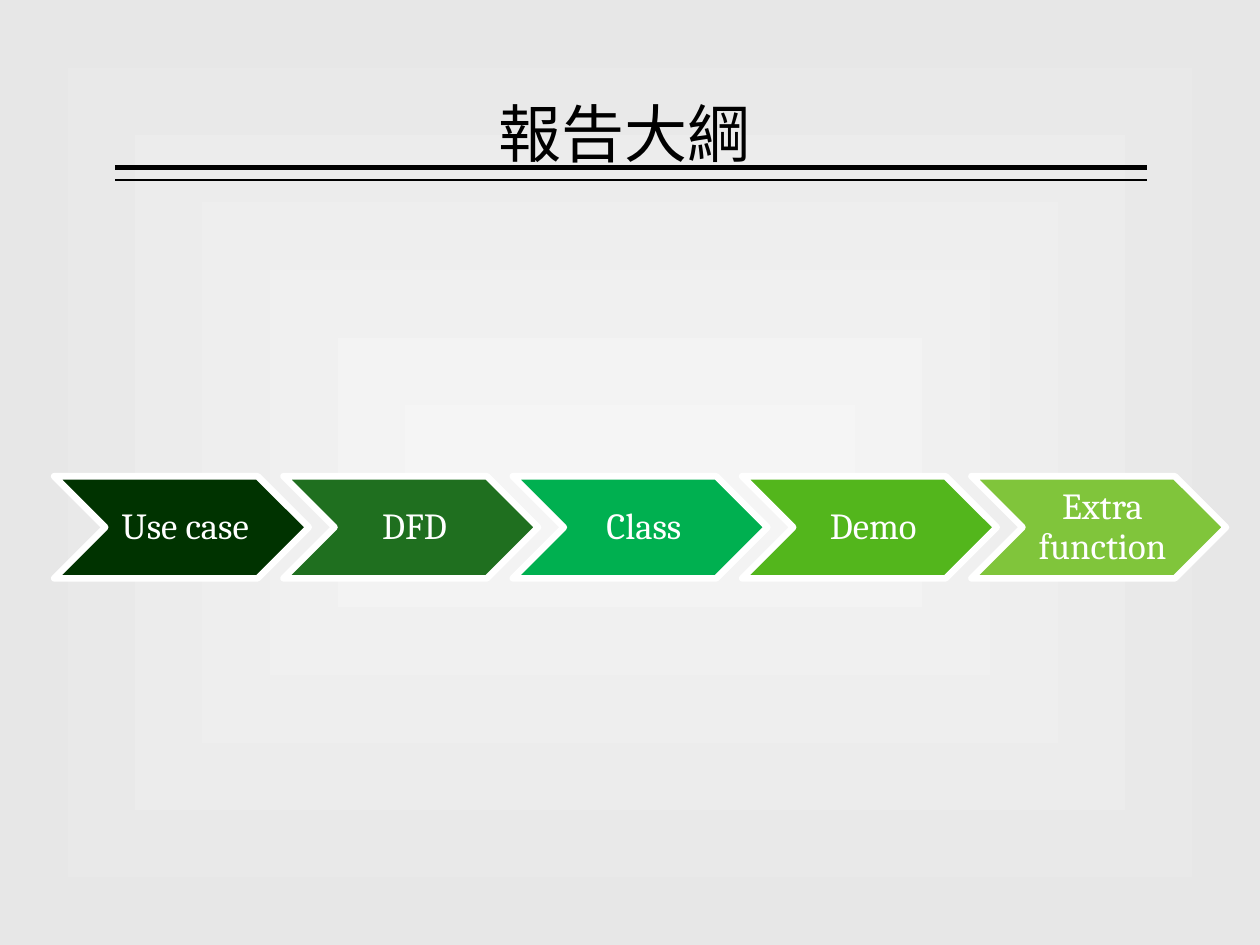
from lxml import etree
from pptx import Presentation
from pptx.dml.color import RGBColor
from pptx.enum.shapes import MSO_CONNECTOR, MSO_SHAPE
from pptx.enum.text import MSO_ANCHOR, PP_ALIGN
from pptx.oxml import parse_xml
from pptx.oxml.ns import nsdecls, qn
from pptx.util import Inches, Pt

TITLE = "報告大綱"
STEPS = [
    ("Use case", "003300"),
    ("DFD", "1F6F1F"),
    ("Class", "00B050"),
    ("Demo", "53B61C"),
    ("Extra function", "80C53B"),
]
RULES = [(1.33, 3), (1.43, 1)]  # y in inches, width in points
RULE_LEFT, RULE_RIGHT = 0.91, 9.1
STEP_LEFT, STEP_TOP, STEP_WIDTH, STEP_HEIGHT = 0.43, 3.78, 2.02, 0.81
STEP_PITCH = 1.82


def rgb(value):
    return RGBColor.from_string(value)


def write(frame, text, font, size, color, anchor, insets):
    frame.word_wrap = True
    frame.vertical_anchor = anchor
    (frame.margin_left, frame.margin_top,
     frame.margin_right, frame.margin_bottom) = map(Inches, insets)
    paragraph = frame.paragraphs[0]
    paragraph.alignment = PP_ALIGN.CENTER
    paragraph.line_spacing = 0.9
    run = paragraph.add_run()
    run.text = text
    run.font.name = font
    run.font.size = Pt(size)
    run.font.color.rgb = rgb(color)


def set_background(slide, inner, outer):
    """Fill the background with a rectangular gradient from inner to outer."""
    fill = slide.background.fill
    fill.solid()
    fill.fore_color.rgb = rgb(inner)
    properties = slide.element.cSld.find(qn("p:bg")).find(qn("p:bgPr"))
    gradient = parse_xml(
        f'<a:gradFill {nsdecls("a")} rotWithShape="1"><a:gsLst>'
        f'<a:gs pos="0"><a:srgbClr val="{inner}"/></a:gs>'
        f'<a:gs pos="100000"><a:srgbClr val="{outer}"/></a:gs></a:gsLst>'
        '<a:path path="rect"><a:fillToRect l="20000" t="20000" r="20000" b="20000"/>'
        '</a:path></a:gradFill>')
    properties.replace(properties.find(qn("a:solidFill")), gradient)


def add_rule(slide, y, width):
    rule = slide.shapes.add_connector(
        MSO_CONNECTOR.STRAIGHT,
        Inches(RULE_RIGHT), Inches(y), Inches(RULE_LEFT), Inches(y))
    rule.line.color.rgb = rgb("000000")
    rule.line.width = Pt(width)
    etree.SubElement(rule._element.spPr, qn("a:effectLst"))


def add_step(slide, index, label, color):
    step = slide.shapes.add_shape(
        MSO_SHAPE.CHEVRON,
        Inches(STEP_LEFT + index * STEP_PITCH), Inches(STEP_TOP),
        Inches(STEP_WIDTH), Inches(STEP_HEIGHT))
    step.shadow.inherit = False
    step.fill.solid()
    step.fill.fore_color.rgb = rgb(color)
    step.line.color.rgb = rgb("FFFFFF")
    step.line.width = Pt(3.78)
    write(step.text_frame, label, "Cambria", 21, "FFFFFF",
          MSO_ANCHOR.MIDDLE, (0.09, 0.03, 0.03, 0.03))


def main():
    deck = Presentation()
    deck.slide_width, deck.slide_height = Inches(10), Inches(7.5)
    slide = deck.slides.add_slide(deck.slide_layouts[5])
    set_background(slide, "F5F5F5", "E7E7E7")

    for y, width in RULES:
        add_rule(slide, y, width)

    title = slide.shapes.title
    title.left, title.top = Inches(2.4), Inches(0.68)
    title.width, title.height = Inches(5.12), Inches(0.73)
    write(title.text_frame, TITLE, "Calibri", 36, "000000",
          MSO_ANCHOR.BOTTOM, (0, 0.05, 0, 0.05))

    for index, (label, color) in enumerate(STEPS):
        add_step(slide, index, label, color)

    deck.save("out.pptx")


if __name__ == "__main__":
    main()
